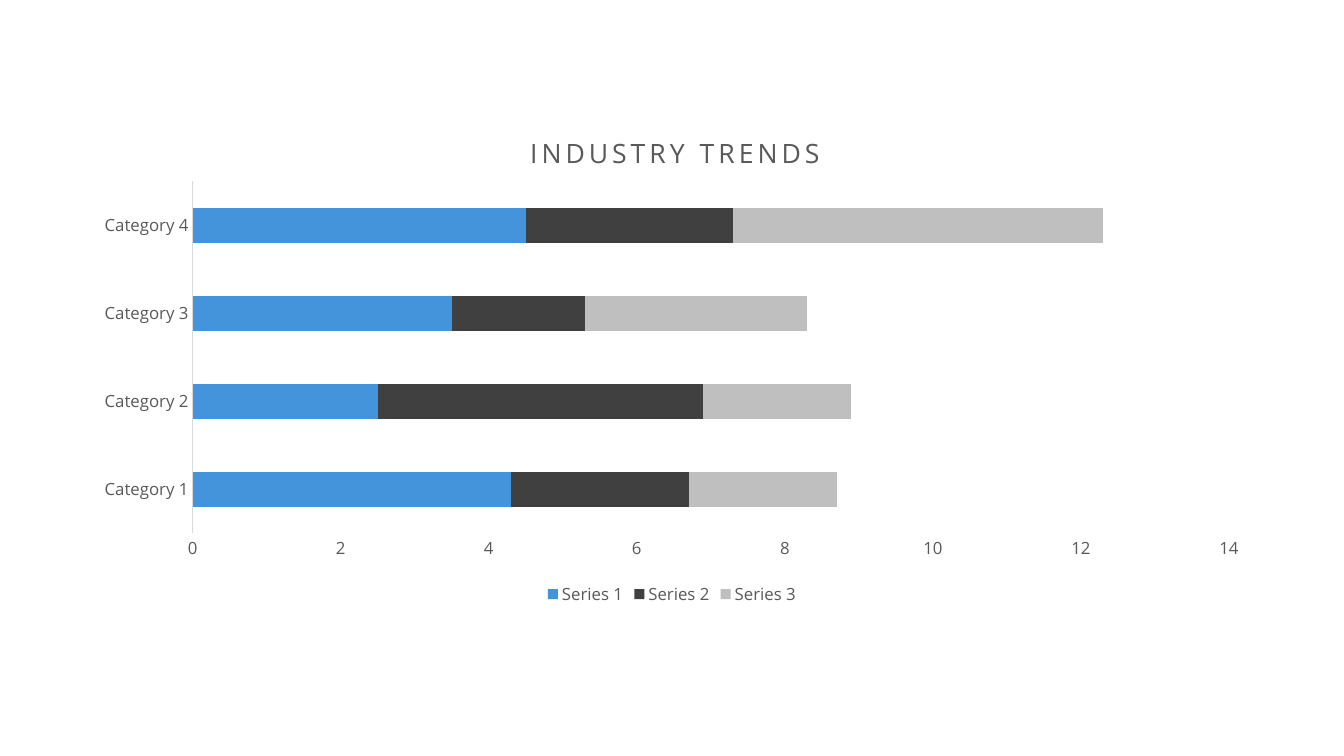
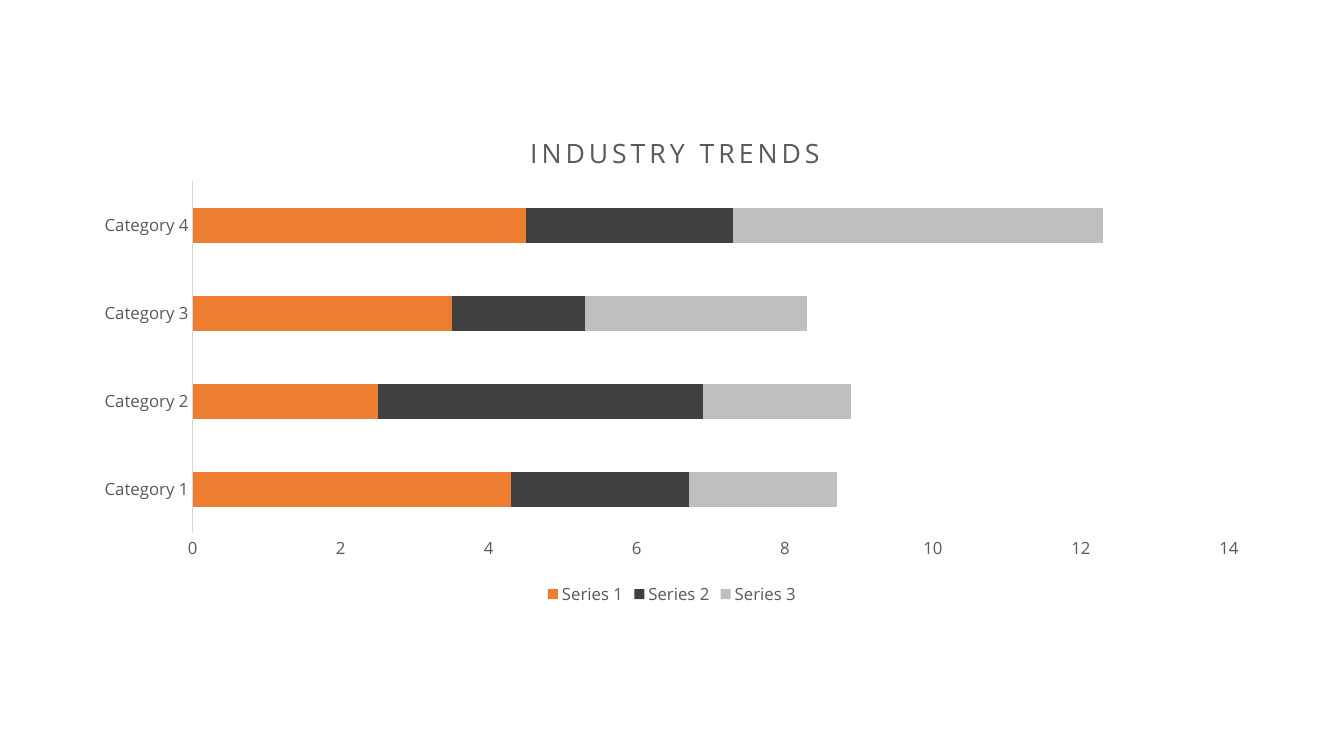
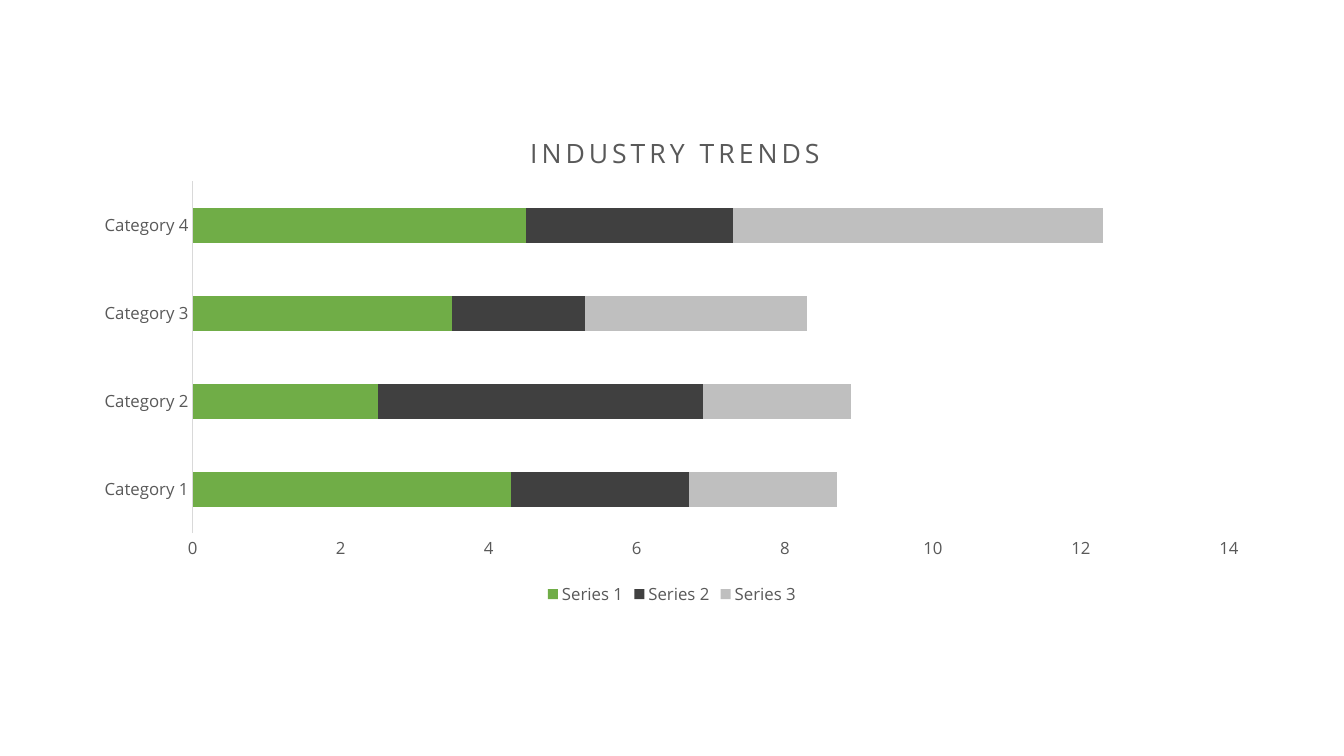
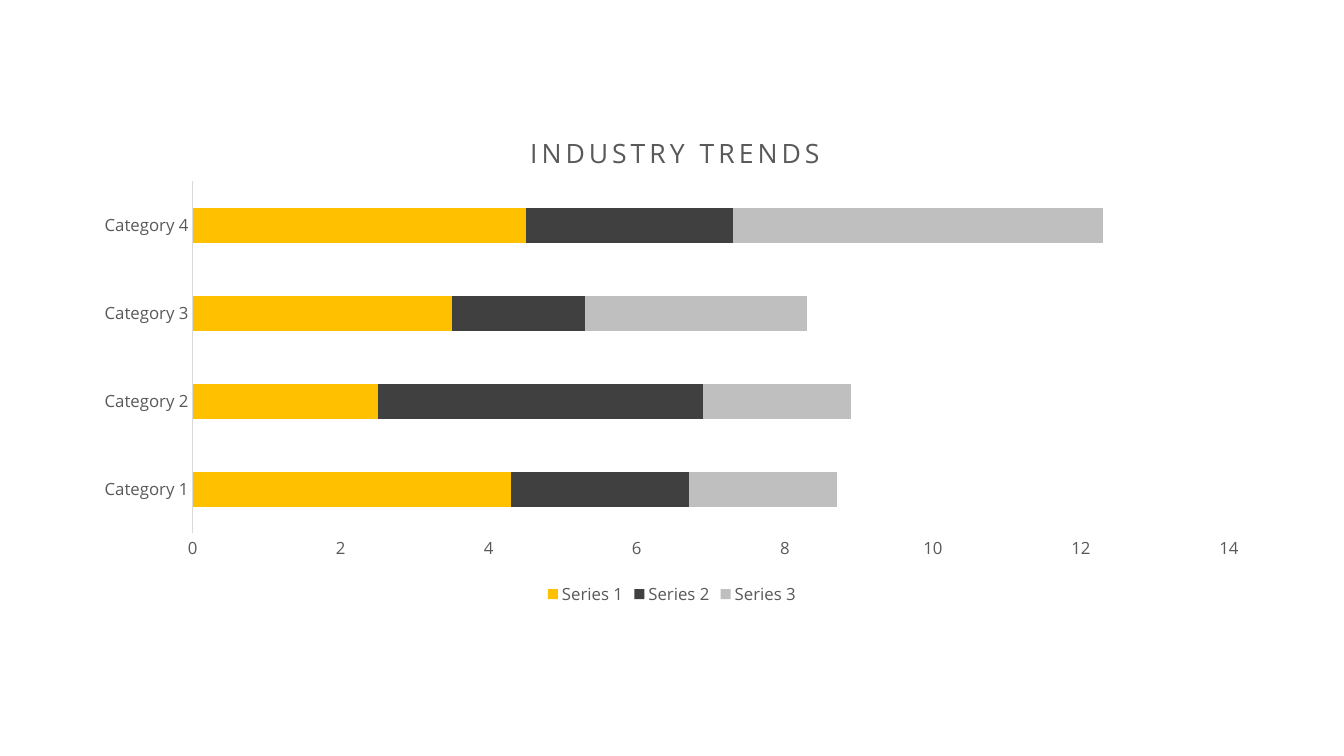
from lxml import etree
from pptx import Presentation
from pptx.chart.data import CategoryChartData
from pptx.dml.color import RGBColor
from pptx.enum.chart import XL_CHART_TYPE, XL_LEGEND_POSITION, XL_TICK_MARK
from pptx.oxml.ns import qn
from pptx.util import Inches, Pt

BAR_STACKED = XL_CHART_TYPE.BAR_STACKED
LEGEND_BOTTOM = XL_LEGEND_POSITION.BOTTOM
NO_TICK = XL_TICK_MARK.NONE

TITLE = "INDUSTRY TRENDS"
CATEGORIES = ["Category 1", "Category 2", "Category 3", "Category 4"]
SERIES = [
    ("Series 1", (4.3, 2.5, 3.5, 4.5)),
    ("Series 2", (2.4, 4.4, 1.8, 2.8)),
    ("Series 3", (2, 2, 3, 5)),
]
SLIDE_ACCENTS = ["blue", "orange", "green", "yellow"]

COLORS = {
    "blue": "4494DC",
    "orange": "ED7D31",
    "green": "70AD47",
    "yellow": "FFC000",
    "dark": "404040",
    "light": "BFBFBF",
    "text": "595959",
    "axis": "D9D9D9",
}
FONT = "Open Sans"
LABEL_SIZE = 12
TITLE_SIZE = 19
TITLE_SPACING = 3

# Lengths in inches; the title and plot are measured from the chart's corner.
SLIDE_SIZE = (13.33, 7.5)
CHART_BOX = (0.81, 1.03, 11.71, 5.02)
TITLE_CORNER = (4.4, 0.23)
PLOT_BOX = (1.1, 0.77, 10.28, 3.49)


def color(name):
    return RGBColor.from_string(COLORS[name])


def style_font(font, size):
    font.name = FONT
    font.size = Pt(size)
    font.bold = False
    font.color.rgb = color("text")


def place(parent, index, left, top, width=None, height=None):
    """Fix a chart part at a place given in inches inside the chart."""
    layout = parent.find(qn("c:layout"))
    if layout is None:
        layout = etree.Element(qn("c:layout"))
        parent.insert(index, layout)
    manual = etree.SubElement(layout, qn("c:manualLayout"))
    chart_width, chart_height = CHART_BOX[2:]
    settings = [("xMode", "edge"), ("yMode", "edge"),
                ("x", left / chart_width), ("y", top / chart_height)]
    if width is not None:
        settings.insert(0, ("layoutTarget", "inner"))
        settings += [("w", width / chart_width), ("h", height / chart_height)]
    for tag, value in settings:
        etree.SubElement(manual, qn(f"c:{tag}")).set("val", str(value))


def add_title(chart):
    title = chart.chart_title
    span = title.text_frame.paragraphs[0].add_run()
    span.text = TITLE
    style_font(span.font, TITLE_SIZE)
    span.font._element.set("spc", str(TITLE_SPACING * 100))
    place(title._element, 1, *TITLE_CORNER)


def style_axes(chart):
    for axis in (chart.category_axis, chart.value_axis):
        axis.major_tick_mark = NO_TICK
        axis.minor_tick_mark = NO_TICK
        axis.has_major_gridlines = False
        style_font(axis.tick_labels.font, LABEL_SIZE)
    category_line = chart.category_axis.format.line
    category_line.color.rgb = color("axis")
    category_line.width = Pt(0.75)
    values = chart.value_axis
    values.format.line.fill.background()
    values.minimum_scale, values.maximum_scale, values.major_unit = 0, 14, 2


def add_trend_chart(page, accent):
    data = CategoryChartData()
    data.categories = CATEGORIES
    for name, numbers in SERIES:
        data.add_series(name, numbers)
    box = [Inches(length) for length in CHART_BOX]
    chart = page.shapes.add_chart(BAR_STACKED, *box, data).chart
    style_font(chart.font, LABEL_SIZE)

    add_title(chart)
    style_axes(chart)
    place(chart._chartSpace.chart.plotArea, 0, *PLOT_BOX)

    plot = chart.plots[0]
    plot.gap_width = 150
    plot.overlap = 100
    plot.vary_by_categories = False
    for series, fill_name in zip(plot.series, (accent, "dark", "light")):
        series.format.fill.solid()
        series.format.fill.fore_color.rgb = color(fill_name)

    chart.has_legend = True
    chart.legend.position = LEGEND_BOTTOM
    chart.legend.include_in_layout = False
    style_font(chart.legend.font, LABEL_SIZE)


def main():
    deck = Presentation()
    deck.slide_width, deck.slide_height = map(Inches, SLIDE_SIZE)
    blank = deck.slide_layouts[6]
    for accent in SLIDE_ACCENTS:
        add_trend_chart(deck.slides.add_slide(blank), accent)
    deck.save("out.pptx")


if __name__ == "__main__":
    main()
